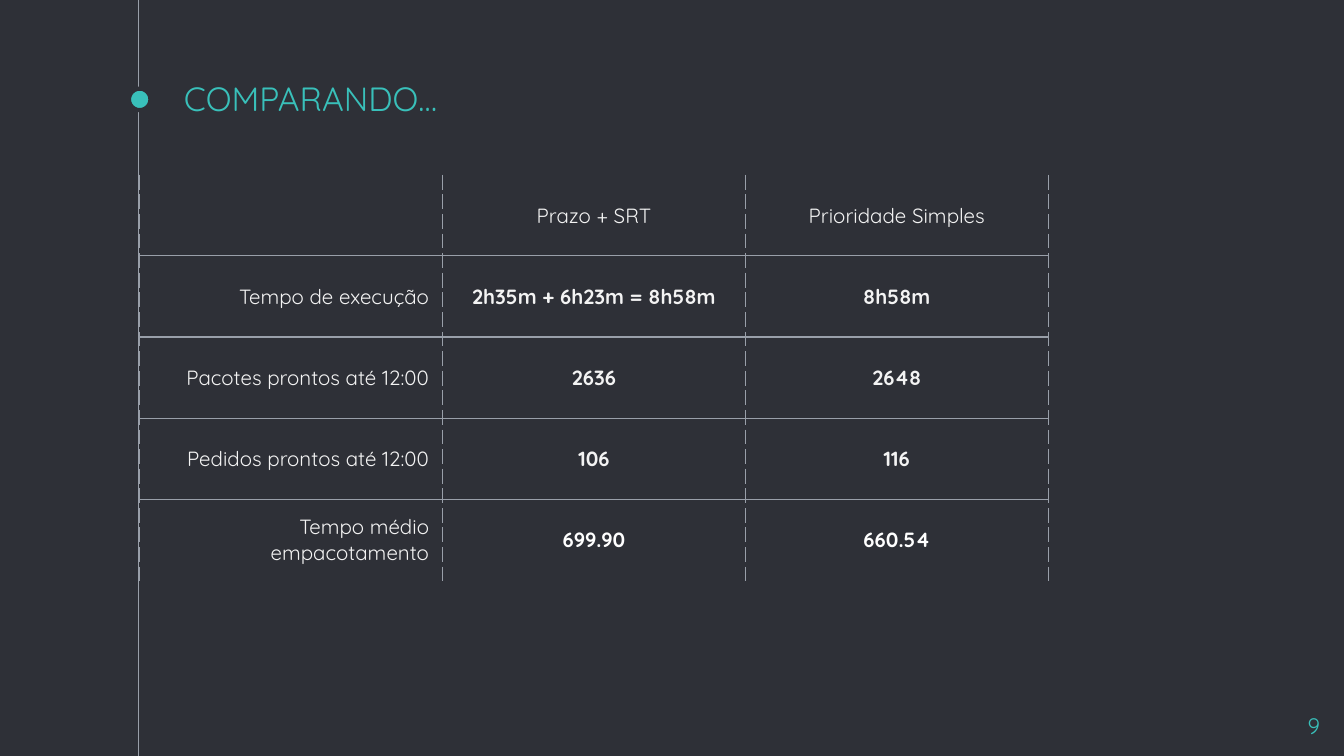
"""Build the slide that compares two scheduling strategies in a table."""
from lxml import etree
from pptx import Presentation
from pptx.dml.color import RGBColor
from pptx.enum.shapes import MSO_CONNECTOR, MSO_SHAPE
from pptx.enum.text import MSO_ANCHOR as ANCHOR, PP_ALIGN as ALIGN
from pptx.oxml import parse_xml
from pptx.oxml.ns import nsdecls, qn
from pptx.util import Inches, Pt

COLORS = {"bg": "2E3037", "line": "999FA9", "accent": "39C0BA", "text": "F3F3F3", "white": "FFFFFF"}
ROWS = [
    ["", "Prazo + SRT", "Prioridade Simples"],
    ["Tempo de execução", "2h35m + 6h23m = 8h58m", "8h58m"],
    ["Pacotes prontos até 12:00", "2636", "2648"],
    ["Pedidos prontos até 12:00", "106", "116"],
    ["Tempo médio empacotamento", "699.90", "660.54"],
]


def style_text(p, size, color, align, bold=False):
    p.alignment = align
    for r in p.runs:
        r.font.name = "Quicksand"
        r.font.size = Pt(size)
        r.font.bold = bold
        r.font.color.rgb = RGBColor.from_string(COLORS[color])


def set_borders(cell, sides):
    tcPr = cell._tc.get_or_add_tcPr()
    for i, side in enumerate("LRTB"):
        dash = "dash" if side in "LR" else "solid"
        paint = f'<a:solidFill><a:srgbClr val="{COLORS["line"]}"/></a:solidFill>'
        if side not in sides:
            paint = "<a:noFill/>"
        tcPr.insert(i, parse_xml(
            f'<a:ln{side} {nsdecls("a")} w="{Pt(0.75)}">{paint}<a:prstDash val="{dash}"/></a:ln{side}>'))


prs = Presentation()
prs.slide_width = Inches(10)
prs.slide_height = prs.slide_width * 9 // 16
s = prs.slides.add_slide(prs.slide_layouts[6])
s.background.fill.solid()
s.background.fill.fore_color.rgb = RGBColor.from_string(COLORS["bg"])

timeline = s.shapes.add_connector(
    MSO_CONNECTOR.STRAIGHT, Inches(1.03), 0, Inches(1.03), prs.slide_height)
timeline.line.color.rgb = RGBColor.from_string(COLORS["line"])
timeline.line.width = Pt(0.75)
etree.SubElement(timeline._element.spPr, qn("a:effectLst"))

dot = s.shapes.add_shape(MSO_SHAPE.OVAL, Inches(0.96), Inches(0.66), Inches(0.16), Inches(0.16))
dot.shadow.inherit = False
dot.fill.solid()
dot.fill.fore_color.rgb = RGBColor.from_string(COLORS["accent"])
dot.line.color.rgb = RGBColor.from_string(COLORS["bg"])
dot.line.width = Pt(2.25)

labels = [
    ("COMPARANDO…", (1.27, 0.6, 7.5, 0.38), 18, ALIGN.LEFT, ANCHOR.BOTTOM),
    ("9", (9.32, 5.2, 0.6, 0.34), 12, ALIGN.RIGHT, ANCHOR.TOP),
]
for text, box, size, align, anchor in labels:
    tf = s.shapes.add_textbox(*map(Inches, box)).text_frame
    tf.word_wrap = True
    tf.vertical_anchor = anchor
    tf.margin_left = tf.margin_right = tf.margin_top = tf.margin_bottom = Inches(0.1)
    tf.text = text
    style_text(tf.paragraphs[0], size, "accent", align)

table = s.shapes.add_table(
    len(ROWS), 3, Inches(1.04), Inches(1.3), Inches(6.76), Inches(3.02)).table
table.first_row = table.horz_banding = False
last = len(ROWS) - 1
for i, row in enumerate(ROWS):
    for j, text in enumerate(row):
        cell = table.cell(i, j)
        cell.text = text
        cell.fill.background()
        cell.vertical_anchor = ANCHOR.MIDDLE
        cell.margin_left = cell.margin_right = Inches(0.1)
        cell.margin_top = cell.margin_bottom = Inches(0.07)
        style_text(
            cell.text_frame.paragraphs[0], 11, "white" if i == last and j > 0 else "text",
            ALIGN.CENTER if j > 0 else ALIGN.RIGHT, bold=i > 0 and j > 0)
        set_borders(cell, "LR" + ("T" if i > 0 else "") + ("B" if i < last else ""))

prs.save("out.pptx")
